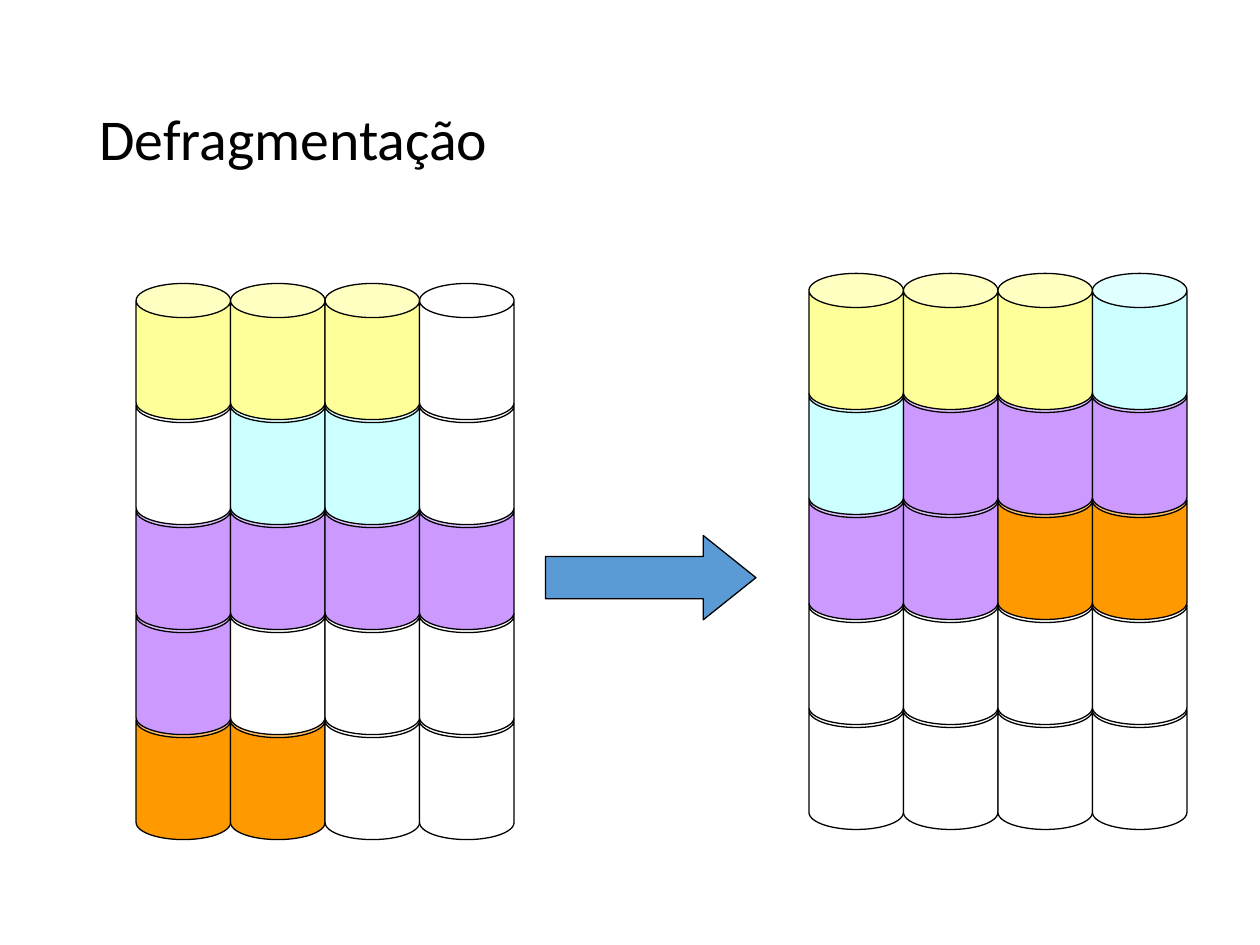
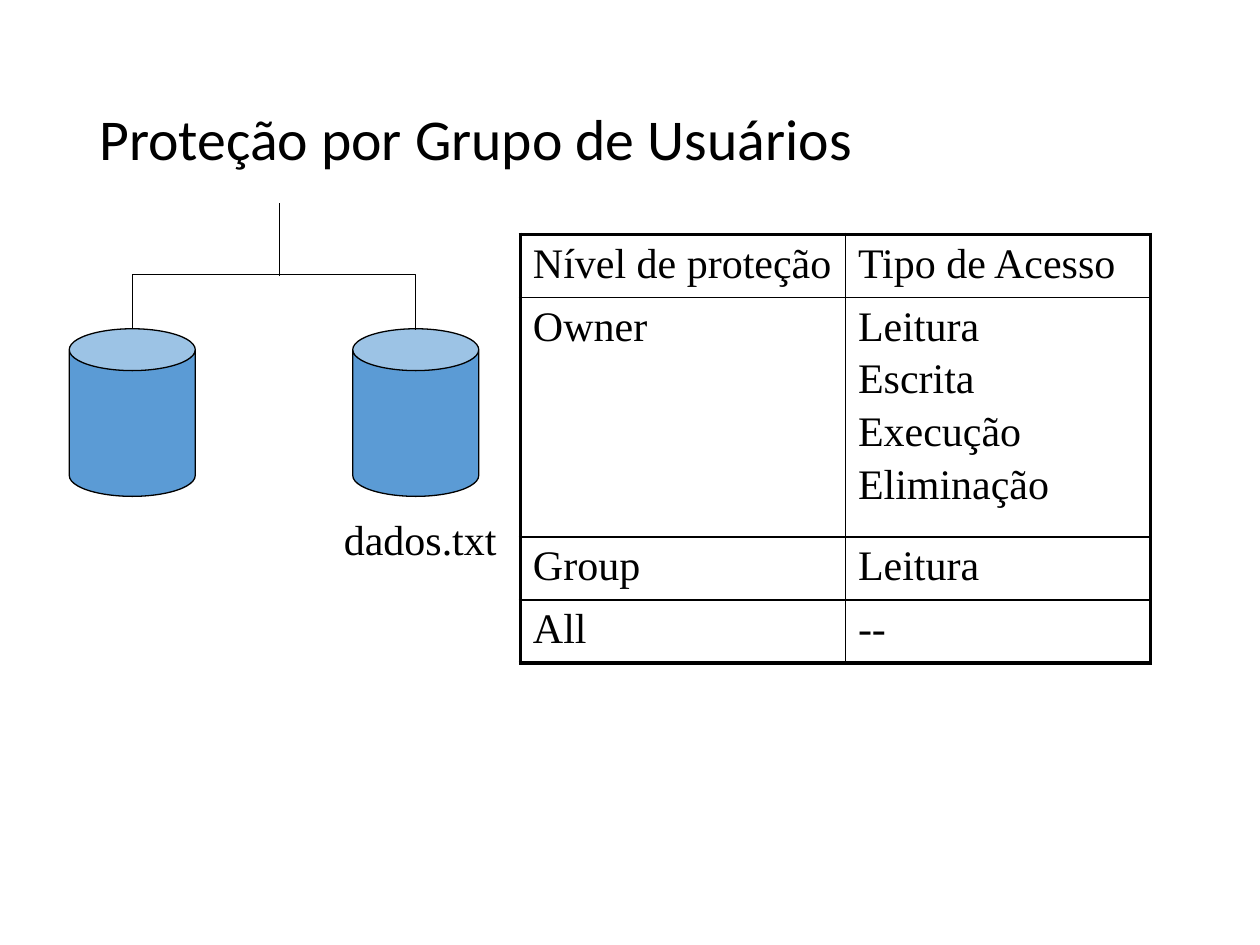
from dataclasses import dataclass

from lxml import etree
from pptx import Presentation
from pptx import util as u
from pptx.dml.color import RGBColor
from pptx.enum import shapes, text
from pptx.oxml import ns


@dataclass(frozen=True)
class Theme:
    ink: RGBColor = RGBColor.from_string("000000")
    blue: RGBColor = RGBColor.from_string("5B9BD5")
    title_font: str = "Calibri"
    body_font: str = "Times New Roman"
    title_size: u.Pt = u.Pt(33)
    body_size: u.Pt = u.Pt(24)
    thin: u.Pt = u.Pt(0.75)
    inner_border: u.Pt = u.Pt(1)
    outer_border: u.Pt = u.Pt(2.25)


theme = Theme()


def add_filled_shape(slide, kind, left, top, width, height, color, adjustments):
    shape = slide.shapes.add_shape(
        kind, u.Inches(left), u.Inches(top), u.Inches(width), u.Inches(height))
    shape.shadow.inherit = False
    for index, value in enumerate(adjustments):
        shape.adjustments[index] = value
    shape.fill.solid()
    shape.fill.fore_color.rgb = color
    shape.line.color.rgb = theme.ink
    shape.line.width = theme.thin


def write_paragraph(paragraph, wording, font_name, size):
    paragraph.text = wording
    paragraph.font.name = font_name
    paragraph.font.size = size
    paragraph.font.color.rgb = theme.ink


presentation = Presentation()
presentation.slide_width = u.Inches(10)
presentation.slide_height = u.Inches(7.5)

slides = []
for title in ("Defragmentação", "Proteção por Grupo de Usuários"):
    slide = presentation.slides.add_slide(presentation.slide_layouts[6])
    title_box = slide.shapes.add_textbox(
        u.Inches(0.69), u.Inches(0.4), u.Inches(8.62), u.Inches(1.45))
    title_box.text_frame.word_wrap = True
    title_box.text_frame.vertical_anchor = text.MSO_ANCHOR.MIDDLE
    paragraph = title_box.text_frame.paragraphs[0]
    write_paragraph(paragraph, title, theme.title_font, theme.title_size)
    paragraph.line_spacing = 0.9
    slides.append(slide)
defragmentation, protection = slides

# Disk blocks before and after defragmentation, one letter per block
block_colors = {
    "Y": RGBColor.from_string("FFFF99"),
    "C": RGBColor.from_string("CCFFFF"),
    "P": RGBColor.from_string("CC99FF"),
    "O": RGBColor.from_string("FF9900"),
    ".": RGBColor.from_string("FFFFFF"),
}
disks = [
    (6.42, 2.17, ["YYYC", "CPPP", "PPOO", "....", "...."]),
    (1.08, 2.25, ["YYY.", ".CC.", "PPPP", "P...", "OO.."]),
]
block_width, block_height, row_pitch = 0.75, 1.08, 2.5 / 3
for left, top, rows in disks:
    # Lower blocks go first so that the upper ones cover their lids
    for row, blocks in reversed(list(enumerate(rows))):
        for column, block in enumerate(blocks):
            add_filled_shape(
                defragmentation, shapes.MSO_SHAPE.CAN,
                left + column * block_width, top + row * row_pitch,
                block_width, block_height, block_colors[block], [0.361])
add_filled_shape(defragmentation, shapes.MSO_SHAPE.RIGHT_ARROW,
                 4.33, 4.25, 1.67, 0.67, theme.blue, [0.5, 0.625])

# Two disks hanging from one bus
for left in (0.55, 2.8):
    add_filled_shape(protection, shapes.MSO_SHAPE.CAN,
                     left, 2.61, 1, 1.33, theme.blue, [0.332])

# The bracket is a thin upright connector turned a quarter to lie flat
bracket_depth, bracket_width = 0.44, 0.01
bracket = protection.shapes.add_connector(
    shapes.MSO_CONNECTOR.ELBOW,
    u.Inches(2.17), u.Inches(3.74), u.Inches(2.17 + bracket_width), u.Inches(1.49))
bracket.element.spPr.find(ns.qn("a:xfrm")).set("rot", str(90 * 60000))
geometry = bracket.element.spPr.find(ns.qn("a:prstGeom"))
bend = etree.SubElement(geometry.find(ns.qn("a:avLst")), ns.qn("a:gd"))
bend.set("name", "adj1")
bend.set("fmla", f"val {round(-bracket_depth / bracket_width * 100000)}")

stem = protection.shapes.add_connector(
    shapes.MSO_CONNECTOR.STRAIGHT,
    u.Inches(2.22), u.Inches(2.19), u.Inches(2.22), u.Inches(1.61))
for connector in (bracket, stem):
    connector.line.color.rgb = theme.ink
    connector.line.width = theme.thin
    etree.SubElement(connector.element.spPr, ns.qn("a:effectLst"))

file_label = protection.shapes.add_textbox(
    u.Inches(2.63), u.Inches(4.03), u.Inches(1.41), u.Inches(0.5))
file_label.text_frame.word_wrap = False
file_label.text_frame.auto_size = text.MSO_AUTO_SIZE.SHAPE_TO_FIT_TEXT
write_paragraph(file_label.text_frame.paragraphs[0], "dados.txt",
                theme.body_font, theme.body_size)

# Access rights by protection level
access_rows = [
    ("Nível de proteção", "Tipo de Acesso"),
    ("Owner", "Leitura\nEscrita\nExecução\nEliminação"),
    ("Group", "Leitura"),
    ("All", "--"),
]
row_heights = [0.5, 1.9, 0.5, 0.5]
column_widths = [2.58, 2.42]
table = protection.shapes.add_table(
    len(row_heights), len(column_widths), u.Inches(4.13), u.Inches(1.86),
    u.Inches(sum(column_widths)), u.Inches(sum(row_heights))).table
table.first_row = False
table.horz_banding = False
for column, width in zip(table.columns, column_widths):
    column.width = u.Inches(width)
for row, height in zip(table.rows, row_heights):
    row.height = u.Inches(height)

for row, wordings in enumerate(access_rows):
    for column, wording in enumerate(wordings):
        cell = table.cell(row, column)
        for index, line in enumerate(wording.split("\n")):
            if index:
                paragraph = cell.text_frame.add_paragraph()
                paragraph.space_before = u.Pt(3.6)
            else:
                paragraph = cell.text_frame.paragraphs[0]
            write_paragraph(paragraph, line, theme.body_font, theme.body_size)
        is_outer = {
            "a:lnL": column == 0,
            "a:lnR": column == len(column_widths) - 1,
            "a:lnT": row == 0,
            "a:lnB": row == len(row_heights) - 1,
        }
        properties = cell._tc.get_or_add_tcPr()
        for side, outer in is_outer.items():
            border = etree.SubElement(properties, ns.qn(side))
            border.set("w", str(theme.outer_border if outer else theme.inner_border))
            fill = etree.SubElement(border, ns.qn("a:solidFill"))
            etree.SubElement(fill, ns.qn("a:srgbClr")).set("val", str(theme.ink))
        cell.fill.background()

presentation.save("out.pptx")
